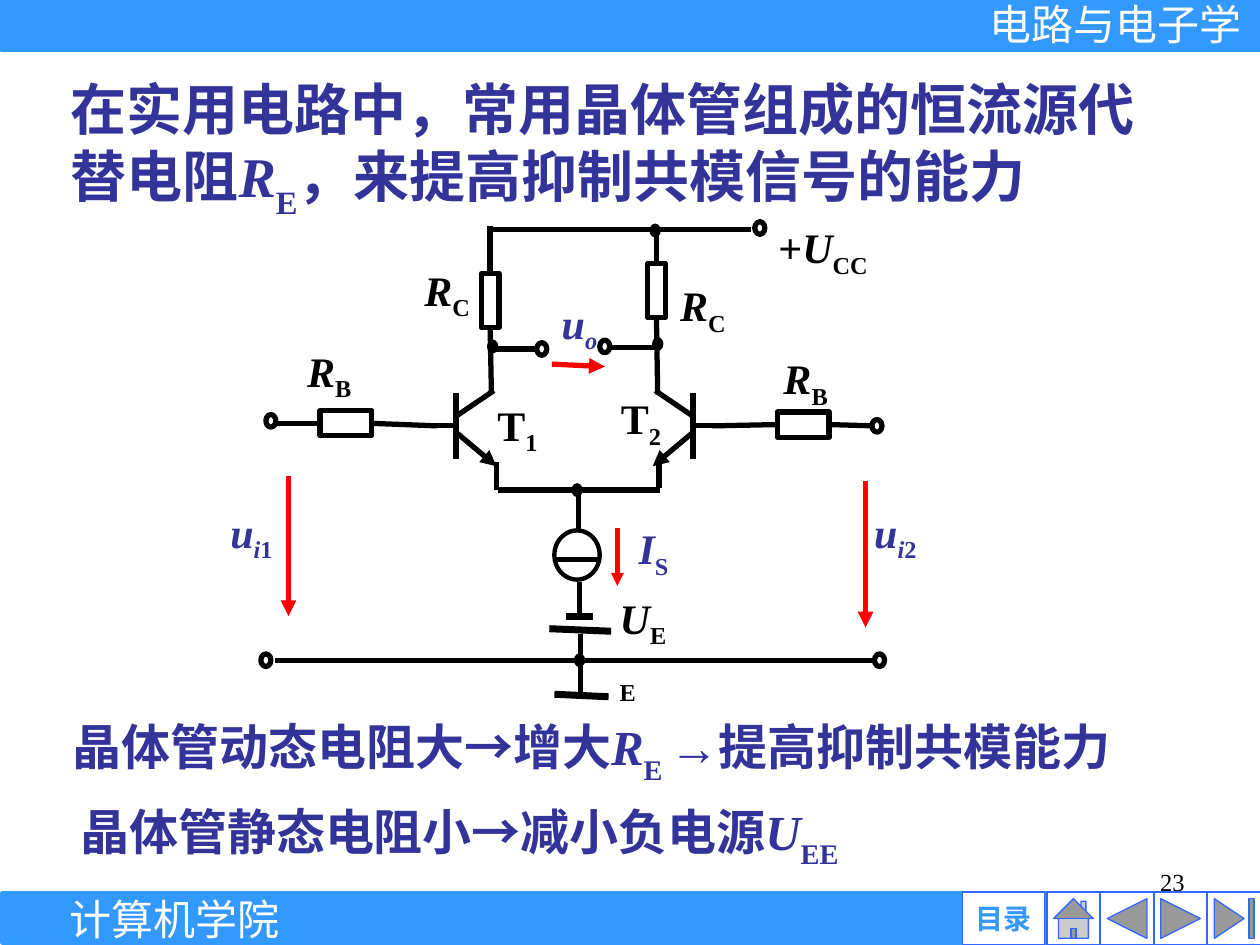
import pptx
import pptx.dml.color
import pptx.enum.shapes
import pptx.enum.text
import pptx.oxml.ns
import pptx.util
from lxml import etree

PRESETS = pptx.enum.shapes.MSO_SHAPE
ALIGN = pptx.enum.text.PP_ALIGN
ANCHOR = pptx.enum.text.MSO_ANCHOR
qn = pptx.oxml.ns.qn

BLUE, INDIGO, BLACK, WHITE, RED = "3399FF", "333399", "000000", "FFFFFF", "FF0000"
TOP, LEFT, BOTTOM, RIGHT = range(4)
MIRROR = 45.6


def color(hex_string):
    return pptx.dml.color.RGBColor.from_string(hex_string)


def add_run(paragraph, text, size=24, font="Times New Roman", ink=BLACK,
            bold=False, italic=False, baseline=0):
    run = paragraph.add_run()
    run.text = text
    run.font.size = pptx.util.Pt(size)
    run.font.name = font
    run.font.bold = bold
    run.font.italic = italic
    run.font.color.rgb = color(ink)
    if baseline:
        run._r.get_or_add_rPr().set("baseline", str(baseline * 1000))


class Sheet:
    columns, rows = 100, 75
    stroke = 3

    def __init__(self, deck):
        self.cell_width = deck.slide_width / self.columns
        self.cell_height = deck.slide_height / self.rows
        self.shapes = deck.slides.add_slide(deck.slide_layouts[6]).shapes

    def place(self, column, row):
        return round(column * self.cell_width), round(row * self.cell_height)

    def shape(self, preset, column, row, width, height, fill=None, line=BLACK, weight=stroke):
        shape = self.shapes.add_shape(preset, *self.place(column, row), *self.place(width, height))
        shape.shadow.inherit = False
        if fill:
            shape.fill.solid()
            shape.fill.fore_color.rgb = color(fill)
        else:
            shape.fill.background()
        shape.line.color.rgb = color(line)
        shape.line.width = pptx.util.Pt(weight)
        return shape

    def put_runs(self, frame, runs, align=ALIGN.LEFT, middle=False, wrap=True, **style):
        frame.word_wrap = wrap
        if middle:
            frame.vertical_anchor = ANCHOR.MIDDLE
            frame.margin_left = frame.margin_right = 0
            frame.margin_top = frame.margin_bottom = 0
        paragraph = frame.paragraphs[0]
        paragraph.alignment = align
        for text, change in runs:
            add_run(paragraph, text, **{**style, **change})

    def text(self, column, row, width, height, runs, **style):
        box = self.shapes.add_textbox(*self.place(column, row), *self.place(width, height))
        self.put_runs(box.text_frame, runs, **style)

    def symbol(self, column, row, width, letters, subscript, **style):
        low = [(part, {**change, "baseline": -25}) for part, change in subscript]
        self.text(column, row, width, 5, letters + low, bold=True, **style)

    def line(self, start, end, ink=BLACK, weight=stroke, arrow=False, source=None, target=None):
        connector = self.shapes.add_connector(
            pptx.enum.shapes.MSO_CONNECTOR.STRAIGHT, *self.place(*start), *self.place(*end))
        if source:
            connector.begin_connect(*source)
        if target:
            connector.end_connect(*target)
        connector.line.color.rgb = color(ink)
        connector.line.width = pptx.util.Pt(weight)
        properties = connector._element.spPr
        if arrow:
            etree.SubElement(properties.find(qn("a:ln")), qn("a:tailEnd"), type="triangle")
        etree.SubElement(properties, qn("a:effectLst"))

    def resistor(self, column, row, width, height):
        return self.shape(PRESETS.RECTANGLE, column, row, width, height)

    def node(self, column, row):
        self.shape(PRESETS.OVAL, column, row, 0.8, 1, fill=BLACK, weight=0.75)

    def terminal(self, column, row):
        self.shape(PRESETS.OVAL, column, row, 0.8, 1)

    def transistor(self, flip):
        parts = [((34.1, 33.8), (36.3, 33.8)), ((36.2, 31.2), (36.2, 36.4)),
                 ((36.1, 33.1), (39.2, 31)), ((36.3, 34.4), (39.4, 37))]
        for part in parts:
            start, end = [(2 * MIRROR - x if flip else x, y) for x, y in part]
            self.line(start, end, arrow=part is parts[-1])


def draw_frame(sheet):
    sheet.text(71.7, 68.3, 23.3, 5.2, [("23", {})], size=14, align=ALIGN.RIGHT)
    for column, row in ((0.2, 70.9), (0.1, 0)):
        sheet.shape(PRESETS.RECTANGLE, column, row, 99.9, 3.9, fill=BLUE, line=BLUE)
    button_style = dict(fill=WHITE, line="3366FF", weight=0.75)
    contents = sheet.shape(PRESETS.ACTION_BUTTON_CUSTOM, 76.4, 70.8, 6.5, 4.2, **button_style)
    sheet.put_runs(contents.text_frame, [("目录", {})], size=16, font="Arial", ink=BLUE,
                   bold=True, align=ALIGN.CENTER, middle=True)
    buttons = (PRESETS.ACTION_BUTTON_HOME, PRESETS.ACTION_BUTTON_BACK_OR_PREVIOUS,
               PRESETS.ACTION_BUTTON_FORWARD_OR_NEXT, PRESETS.ACTION_BUTTON_END)
    for index, button in enumerate(buttons):
        sheet.shape(button, 83.1 + 4.25 * index, 70.8, 4.2, 4.2, **button_style)
    sheet.text(76.3, -0.1, 24.4, 4, [("电路与电子学", {})], font="Arial", ink=WHITE,
               align=ALIGN.CENTER, middle=True, wrap=False)
    sheet.text(5.5, 70.9, 16.7, 4, [("计算机学院", {})], ink=WHITE,
               align=ALIGN.CENTER, middle=True, wrap=False)


def draw_statements(sheet):
    slanted, lowered = {"italic": True}, {"baseline": -30}
    style = dict(ink=INDIGO, bold=True)
    sheet.text(4.6, 5.4, 89.6, 11.7, [
        ("在实用电路中，常用晶体管组成的恒流源代替电阻", {}), ("R", slanted),
        ("E", lowered), ("，来提高抑制共模信号的能力", {})], size=32, **style)
    sheet.text(4.8, 56.4, 95.2, 5.7, [
        ("晶体管动态电阻大→增大", {}), ("R", slanted),
        ("E ", lowered), ("→提高抑制共模能力", {})], size=28, **style)
    sheet.text(5.4, 63.1, 79.4, 5.7, [
        ("晶体管静态电阻小→减小负电源", {}), ("U", slanted), ("EE", lowered)], size=28, **style)


def draw_circuit(sheet):
    collector_left = sheet.resistor(38.2, 21.7, 1.4, 4.3)
    collector_right = sheet.resistor(51.4, 20.9, 1.4, 4.3)
    base_left = sheet.resistor(25.4, 32.6, 4.1, 2)
    base_right = sheet.resistor(61.7, 32.7, 4.1, 2)

    sheet.line((38.9, 17.9), (38.9, 21.7), target=(collector_left, TOP))
    sheet.line((38.9, 26), (39, 31.1), source=(collector_left, BOTTOM))
    sheet.line((52.1, 18.1), (52.1, 20.9), target=(collector_right, TOP))
    sheet.line((52.1, 25.2), (52.2, 31.3), source=(collector_right, BOTTOM))
    sheet.line((34.7, 33.8), (29.5, 33.6), target=(base_left, RIGHT))
    sheet.line((25.4, 33.6), (21.8, 33.6), source=(base_left, LEFT))
    sheet.line((56.5, 33.8), (61.7, 33.7), target=(base_right, LEFT))
    sheet.line((65.8, 33.7), (69.4, 33.8), source=(base_right, RIGHT))

    for flip in (False, True):
        sheet.transistor(flip)

    wires = [((39, 18.2), (59.6, 18.2)), ((39, 27.7), (42.6, 27.7)),
             ((52.2, 27.6), (48.4, 27.6)), ((39.4, 36.7), (39.4, 38.9)),
             ((52.3, 36.5), (52.3, 38.7)), ((39.5, 38.9), (52.4, 38.9)),
             ((45.9, 39), (45.9, 42)), ((46, 46.2), (46, 48.9)),
             ((46.1, 50.3), (46.1, 55.5)), ((21.8, 52.4), (69.4, 52.4))]
    for start, end in wires:
        sheet.line(start, end)
    plates = [((47.1, 48.9), (44.9, 48.9)), ((48.5, 50.1), (43.6, 49.9)),
              ((44, 55.1), (48.3, 55.3))]
    for start, end in plates:
        sheet.line(start, end, weight=4)

    sheet.shape(PRESETS.OVAL, 44, 42.1, 3.6, 3.9, weight=2.5)
    sheet.line((44, 44.4), (47.7, 44.4), weight=2.5)
    for column, row in ((38.7, 27), (51.8, 26.8), (45.4, 38.4), (51.6, 17.8), (45.6, 51.9)):
        sheet.node(column, row)
    for column, row in ((59.9, 17.6), (69.2, 33.3), (21.1, 32.9), (42.6, 27.2),
                        (47.6, 27), (20.7, 51.9), (69.4, 51.9)):
        sheet.terminal(column, row)

    arrows = [((43.8, 28.9), (48, 29.1), 3), ((22.9, 37.8), (22.9, 48.9), 3),
              ((68.7, 38.2), (68.7, 49.8), 3), ((49, 41.9), (49, 46.5), 2.5)]
    for start, end, weight in arrows:
        sheet.line(start, end, ink=RED, weight=weight, arrow=True)


def label_circuit(sheet):
    slanted = {"italic": True}
    for column, row, width, subscript in ((32.7, 20.5, 9.8, "C"), (53, 21.7, 8.5, "C"),
                                          (23.4, 26.9, 7.3, "B"), (61.2, 27.5, 7.4, "B")):
        sheet.symbol(column, row, width, [("R", slanted)], [(subscript, {})])
    for column, row, number in ((38.5, 31.2, "1"), (48.3, 30.7, "2")):
        sheet.symbol(column, row, 6, [("T", {})], [(number, {})])
    for column, width, number in ((17.3, 9.9, "1"), (68.4, 8.4, "2")):
        sheet.symbol(column, 39.7, width, [("u", slanted)], [("i", slanted), (number, {})],
                     ink=INDIGO)
    sheet.symbol(43.6, 23.1, 6.9, [("u", slanted)], [("o", slanted)], ink=INDIGO)
    sheet.symbol(49.7, 41, 7.5, [("I", slanted)], [("S", {})], ink=INDIGO)
    sheet.symbol(48.2, 46.5, 6.8, [("U", slanted)], [("EE", {})], wrap=False)
    sheet.symbol(60.8, 17.1, 11.1, [("+", {}), ("U", slanted)], [("CC", {})])


def main():
    deck = pptx.Presentation()
    deck.slide_width = pptx.util.Inches(10)
    deck.slide_height = pptx.util.Inches(7.5)
    sheet = Sheet(deck)
    draw_frame(sheet)
    draw_statements(sheet)
    draw_circuit(sheet)
    label_circuit(sheet)
    deck.save("out.pptx")


if __name__ == "__main__":
    main()
